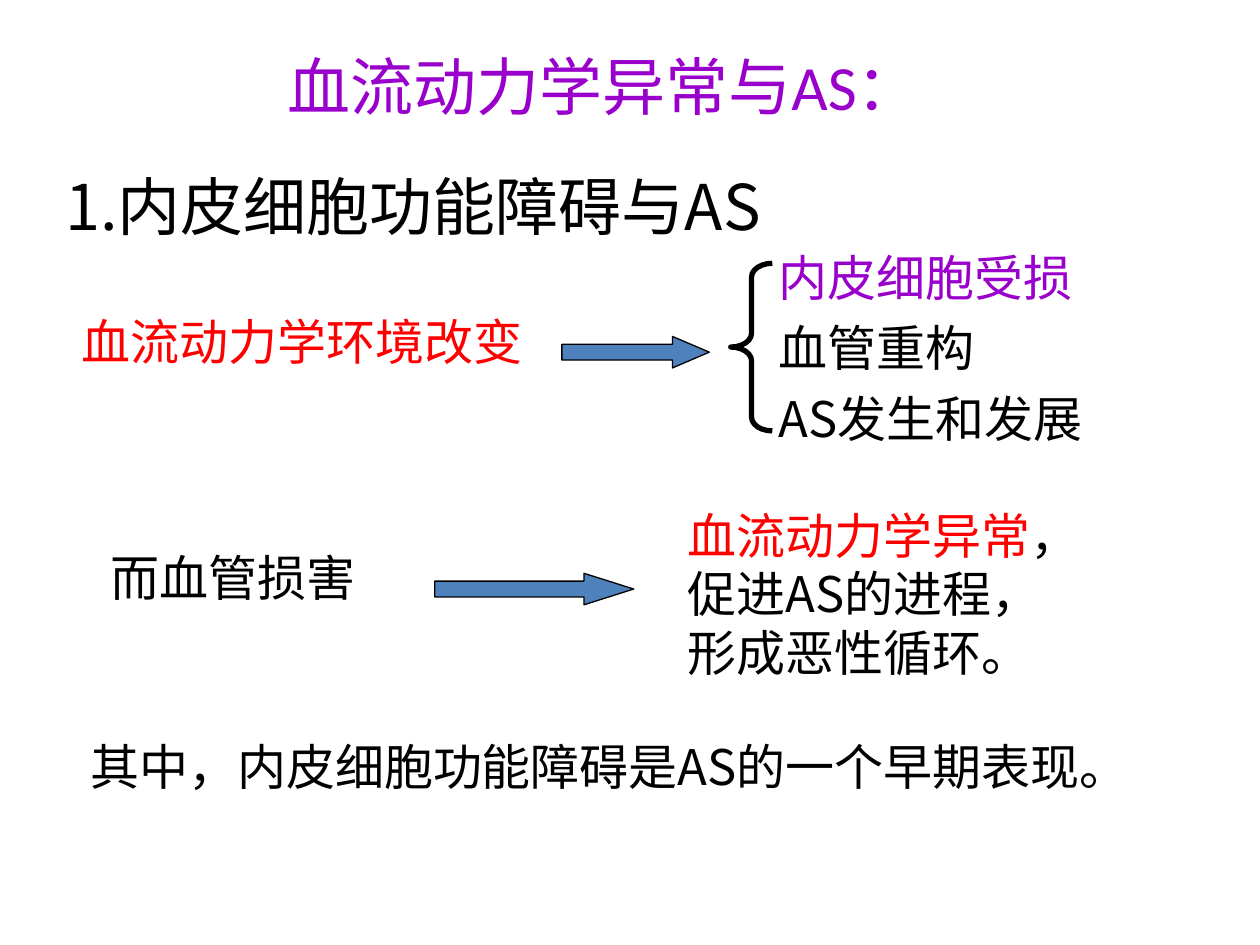
from lxml import etree
from pptx import Presentation
from pptx.dml.color import RGBColor
from pptx.enum import shapes, text
from pptx.oxml import ns
from pptx import util as u

HUES = {"ink": "000000", "red": "FF0000", "plum": "9900CC", "blue": "4F81BD"}
FACE = "Noto Sans CJK SC"

deck = Presentation()
deck.slide_width, deck.slide_height = u.Inches(10), u.Inches(7.5)
col, row = deck.slide_width / 100, deck.slide_height / 75
page = deck.slides.add_slide(deck.slide_layouts[5])


def place(x, y, w, h):
    return [round(n) for n in (x * col, y * row, w * col, h * row)]


def write(frame, lines, size, face=FACE, gap=1):
    frame.auto_size = text.MSO_AUTO_SIZE.NONE
    frame.vertical_anchor = text.MSO_ANCHOR.TOP
    for i, line in enumerate(lines):
        para = frame.add_paragraph() if i else frame.paragraphs[0]
        para.line_spacing = gap
        para.space_before = u.Pt(0)
        font = para.font
        font.size, font.name = u.Pt(size), face
        font.color.rgb = RGBColor.from_string(HUES[line[0][1]])
        latin = para._p.pPr.find(".//" + ns.qn("a:latin"))
        latin.addnext(etree.Element(ns.qn("a:ea"), typeface=FACE))
        for words, hue in line:
            run = para.add_run()
            run.text = words
            if hue != line[0][1]:
                run.font.color.rgb = RGBColor.from_string(HUES[hue])


title = page.shapes.title
title.left, title.top, title.width, title.height = place(4.2, 3.3, 87.4, 7)
write(title.text_frame, [[("血流动力学异常与AS：", "plum")]], 36, "Calibri")
title.text_frame.paragraphs[0].alignment = text.PP_ALIGN.CENTER

notes = [
    ((4.2, 12.8, 87.4, 7), 36, 1, [[("1.内皮细胞功能障碍与AS", "ink")]]),
    ((5.5, 24.2, 37.2, 5.7), 28, 1, [[("血流动力学环境改变", "red")]]),
    ((60.8, 18.2, 33.5, 17.8), 28, 1.2, [
        [("内皮细胞受损", "plum")],
        [("血管重构", "ink")],
        [("AS发生和发展", "ink")],
    ]),
    ((7.8, 43, 21.5, 5.7), 28, 1, [[("而血管损害", "ink")]]),
    ((53.6, 39.6, 33.3, 15), 28, 1, [
        [("血流动力学异常", "red"), ("，", "ink")],
        [("促进AS的进程，", "ink")],
        [("形成恶性循环。", "ink")],
    ]),
    ((6.2, 57, 84.1, 6.6), 28, 1.2,
     [[("其中，内皮细胞功能障碍是AS的一个早期表现。", "ink")]]),
]
for spot, size, gap, lines in notes:
    box = page.shapes.add_textbox(*place(*spot))
    box.text_frame.word_wrap = False
    write(box.text_frame, lines, size, gap=gap)

KIND = shapes.MSO_SHAPE
marks = [
    (KIND.LEFT_BRACE, (58, 20.9, 3.3, 13.3), (0.33, 0.5), None, 3),
    (KIND.RIGHT_ARROW, (44.6, 26.7, 11.7, 2.5), (0.5, 1.17), "blue", 0.75),
    (KIND.RIGHT_ARROW, (34.5, 45.5, 15.8, 2.5), (0.5, 1.58), "blue", 0.75),
]
for kind, spot, bends, fill, width in marks:
    mark = page.shapes.add_shape(kind, *place(*spot))
    mark.shadow.inherit = False
    for i, bend in enumerate(bends):
        mark.adjustments[i] = bend
    if fill:
        mark.fill.solid()
        mark.fill.fore_color.rgb = RGBColor.from_string(HUES[fill])
    else:
        mark.fill.background()
    mark.line.color.rgb = RGBColor.from_string(HUES["ink"])
    mark.line.width = u.Pt(width)

deck.save("out.pptx")
